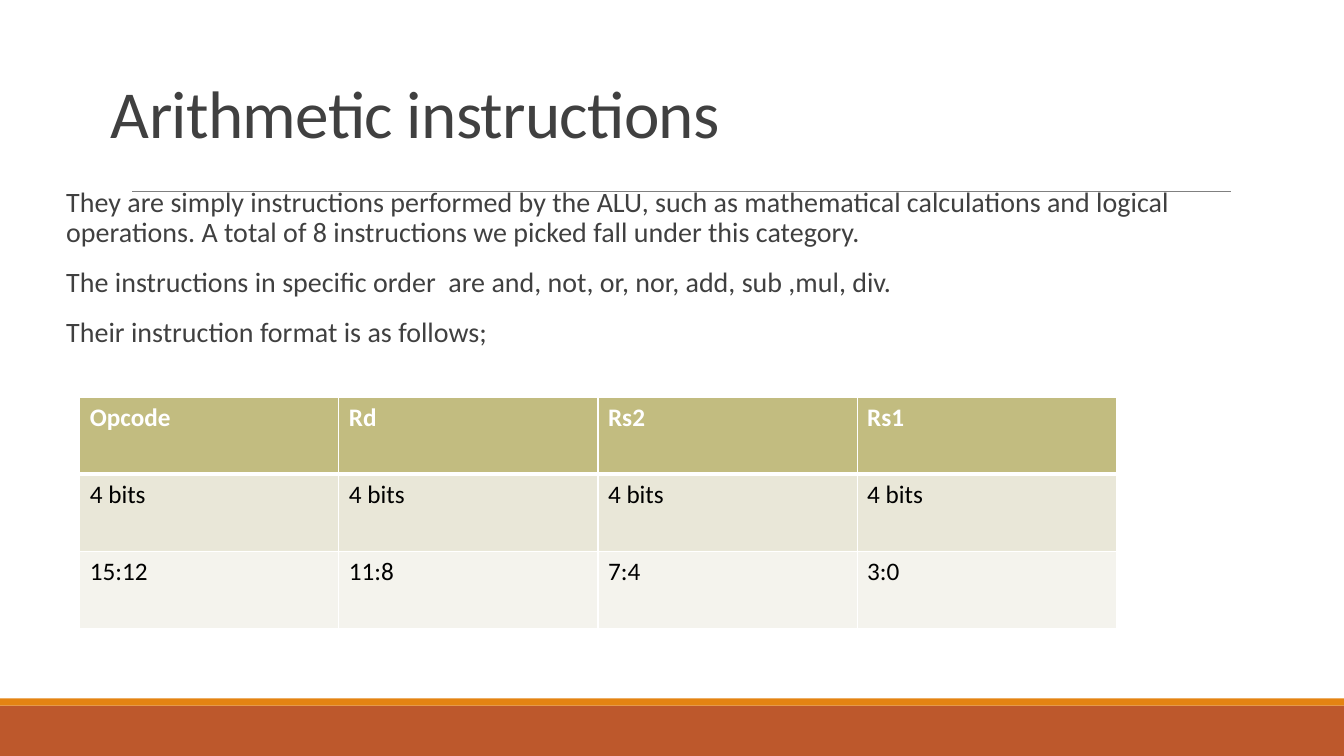
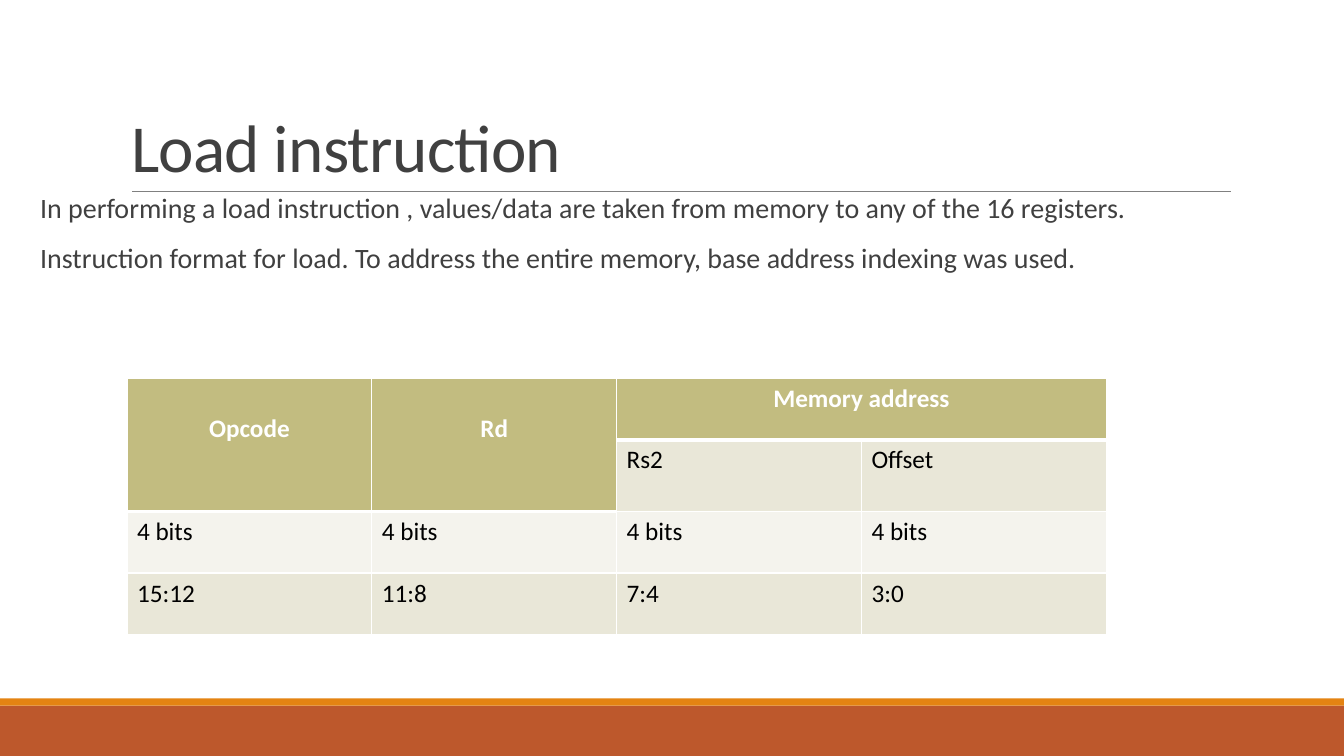
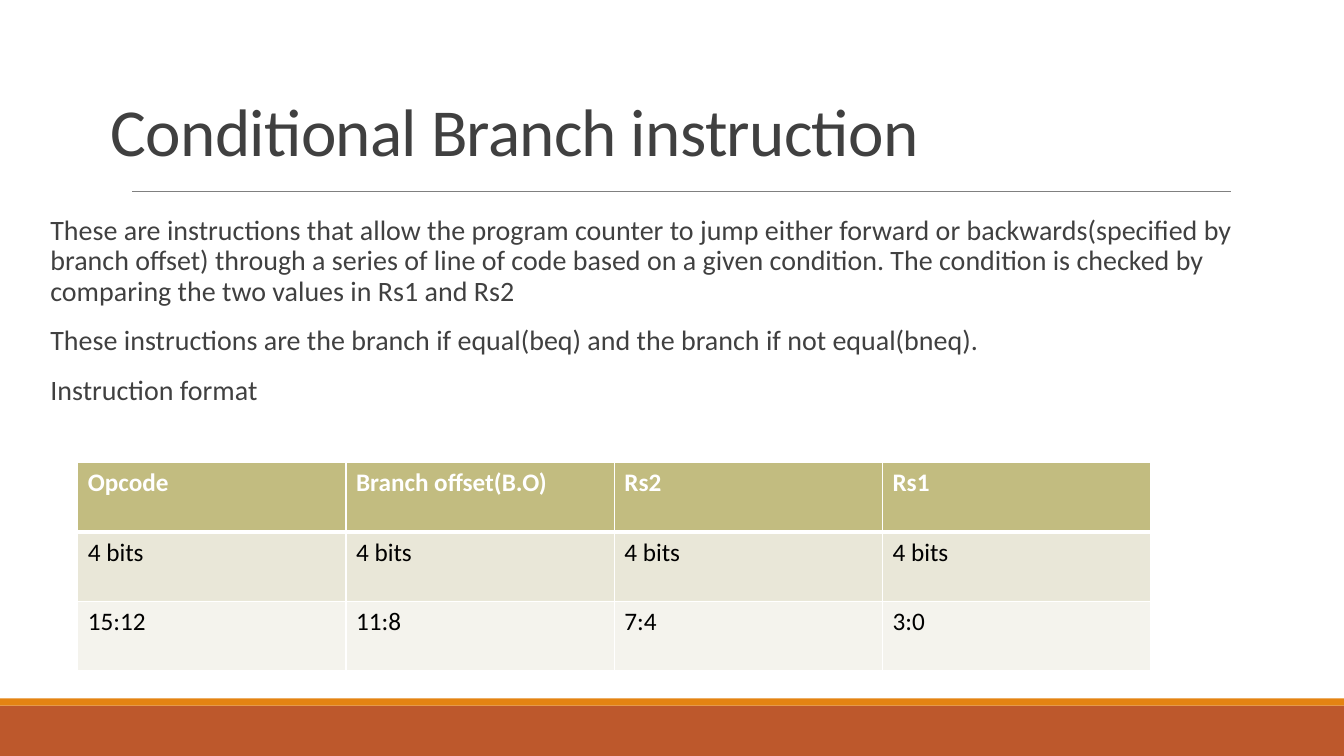
from lxml.etree import SubElement
from pptx import Presentation
from pptx.dml.color import RGBColor
from pptx.enum.shapes import MSO_CONNECTOR as CONNECTOR, MSO_SHAPE as SHAPE
from pptx.enum.text import MSO_ANCHOR as ANCHOR, MSO_AUTO_SIZE as AUTO_SIZE, PP_ALIGN as ALIGN
from pptx.oxml.ns import qn
from pptx.util import Cm, Pt

RUST, ORANGE, RULE_GREY = "BD582C", "E48312", "808080"
INK, WHITE, BLACK = "404040", "FFFFFF", "000000"
HEADER_FILL, BAND_FILLS = "C2BC80", ("F4F3ED", "E9E7D8")
FONT = "Calibri"


def color(hex_text):
    return RGBColor.from_string(hex_text)


def write(paragraph, text, size, ink=INK, bold=False, align=ALIGN.LEFT,
          line=1.0, before=0, after=0, tracking=0):
    paragraph.alignment = align
    paragraph.line_spacing = line
    paragraph.space_before, paragraph.space_after = Pt(before), Pt(after)
    run = paragraph.add_run()
    run.text = text
    run.font.name, run.font.size, run.font.bold = FONT, Pt(size), bold
    run.font.color.rgb = color(ink)
    if tracking:
        run.font._element.set("spc", str(int(tracking * 100)))


BITS = ["4 bits"] * 4
RANGES = ["15:12", "11:8", "7:4", "3:0"]

pages = [
    dict(
        title="Arithmetic instructions", title_box=(2.54, 0.41, 28.78, 3.56),
        body=[
            "They are simply instructions performed by the ALU, such as mathematical calculations and logical operations. A total of 8 instructions we picked fall under this category.",
            "The instructions in specific order  are and, not, or, nor, add, sub ,mul, div.",
            "Their instruction format is as follows;",
        ],
        body_box=(1.42, 4.62, 30.43, 11.46),
        rows=[["Opcode", "Rd", "Rs2", "Rs1"], BITS, RANGES],
        table_at=(2.01, 10.01), column_width=6.53, row_heights=[1.94] * 3,
        header_depths=[1, 1, 1, 1], merges=[],
    ),
    dict(
        title="Load instruction", title_box=(3.05, 0.79, 27.94, 4.04),
        body=[
            "In performing a load instruction , values/data are taken from memory to any of the 16 registers.",
            "Instruction format for load. To address the entire memory, base address indexing was used.",
        ],
        body_box=(0.76, 4.78, 32.44, 12.85),
        rows=[["Opcode", "Rd", "Memory address", ""], ["", "", "Rs2", "Offset"], BITS, RANGES],
        table_at=(3.2, 9.53), column_width=6.17, row_heights=[1.55, 1.81, 1.55, 1.55],
        header_depths=[2, 2, 1, 1],
        merges=[((0, 0), (1, 0)), ((0, 1), (1, 1)), ((0, 2), (0, 3))],
    ),
    dict(
        title="Conditional Branch instruction", title_box=(2.54, 0.97, 28.78, 3.45),
        body=[
            "These are instructions that allow the program counter to jump either forward or backwards(specified by branch offset) through a series of line of code based on a given condition. The condition is checked by comparing the two values in Rs1 and Rs2",
            "These instructions are the branch if equal(beq) and the branch if not equal(bneq).",
            "Instruction format",
        ],
        body_box=(1.02, 5.33, 30.33, 10.74),
        rows=[["Opcode", "Branch offset(B.O)", "Rs2", "Rs1"], BITS, RANGES],
        table_at=(1.96, 11.66), column_width=6.76, row_heights=[1.75] * 3,
        header_depths=[1, 1, 1, 1], merges=[],
    ),
]

prs = Presentation()
prs.slide_width, prs.slide_height = Cm(33.87), Cm(19.05)
title_only = prs.slide_layouts[5]
slides = [prs.slides.add_slide(title_only) for _ in pages]

layout_tree = title_only.shapes.element
for top, height, fill in [(17.78, 1.27, RUST), (17.6, 0.18, ORANGE)]:
    band = slides[0].shapes.add_shape(SHAPE.RECTANGLE, 0, Cm(top), prs.slide_width, Cm(height))
    band.shadow.inherit = False
    band.fill.solid()
    band.fill.fore_color.rgb = color(fill)
    band.line.fill.background()
    layout_tree.append(band.element)
title_rule = slides[0].shapes.add_connector(
    CONNECTOR.STRAIGHT, Cm(3.33), Cm(4.83), Cm(31.01), Cm(4.83))
title_rule.line.color.rgb = color(RULE_GREY)
title_rule.line.width = Pt(0.5)
SubElement(title_rule.element.spPr, qn("a:effectLst"))
layout_tree.append(title_rule.element)

for slide, page in zip(slides, pages):
    title = slide.shapes.title
    title.left, title.top, title.width, title.height = map(Cm, page["title_box"])
    title.text_frame.vertical_anchor = ANCHOR.BOTTOM
    title.text_frame.auto_size = AUTO_SIZE.NONE
    title.text_frame.word_wrap = True
    write(title.text_frame.paragraphs[0], page["title"], 48, line=0.85, tracking=-0.5)

    body = slide.shapes.add_textbox(*map(Cm, page["body_box"])).text_frame
    body.word_wrap = True
    body.margin_left, body.margin_right = Cm(0.25), 0
    for index, sentence in enumerate(page["body"]):
        paragraph = body.add_paragraph() if index else body.paragraphs[0]
        write(paragraph, sentence, 20, line=0.9, before=12, after=2)

    rows, heights, depths = page["rows"], page["row_heights"], page["header_depths"]
    bit_fields = slide.shapes.add_table(
        len(rows), len(depths), *map(Cm, page["table_at"]),
        Cm(page["column_width"] * len(depths)), Cm(sum(heights))).table
    bit_fields.horz_banding = False
    for column in bit_fields.columns:
        column.width = Cm(page["column_width"])
    for first, last in page["merges"]:
        bit_fields.cell(*first).merge(bit_fields.cell(*last))

    for r, labels in enumerate(rows):
        bit_fields.rows[r].height = Cm(heights[r])
        for c, label in enumerate(labels):
            cell = bit_fields.cell(r, c)
            is_header = r < depths[c]
            borders = {"L": 1, "R": 1, "T": 3 if r == depths[c] else 1,
                       "B": 3 if r == depths[c] - 1 or cell.is_merge_origin else 1}
            for side, points in borders.items():
                edge = SubElement(cell._tc.get_or_add_tcPr(), qn("a:ln" + side), w=str(Pt(points)))
                SubElement(SubElement(edge, qn("a:solidFill")), qn("a:srgbClr"), val=WHITE)
            cell.fill.solid()
            cell.fill.fore_color.rgb = color(HEADER_FILL if is_header else BAND_FILLS[r % 2])
            if cell.is_merge_origin and cell.span_height > 1:
                cell.margin_top = Cm(0.9)
            if label:
                write(cell.text_frame.paragraphs[0], label, 18,
                      ink=WHITE if is_header else BLACK, bold=is_header,
                      align=ALIGN.CENTER if cell.is_merge_origin else ALIGN.LEFT)

prs.save("out.pptx")
